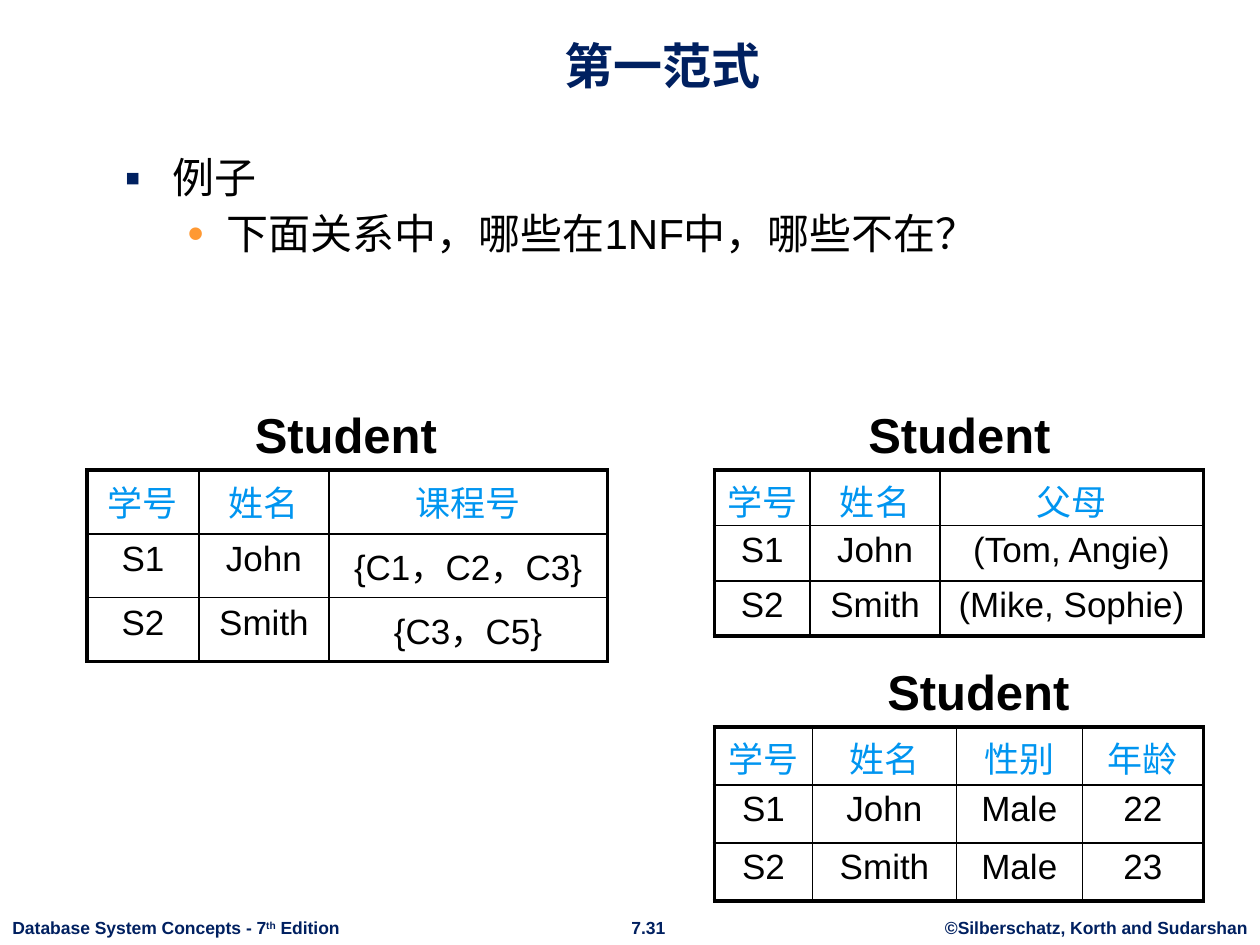
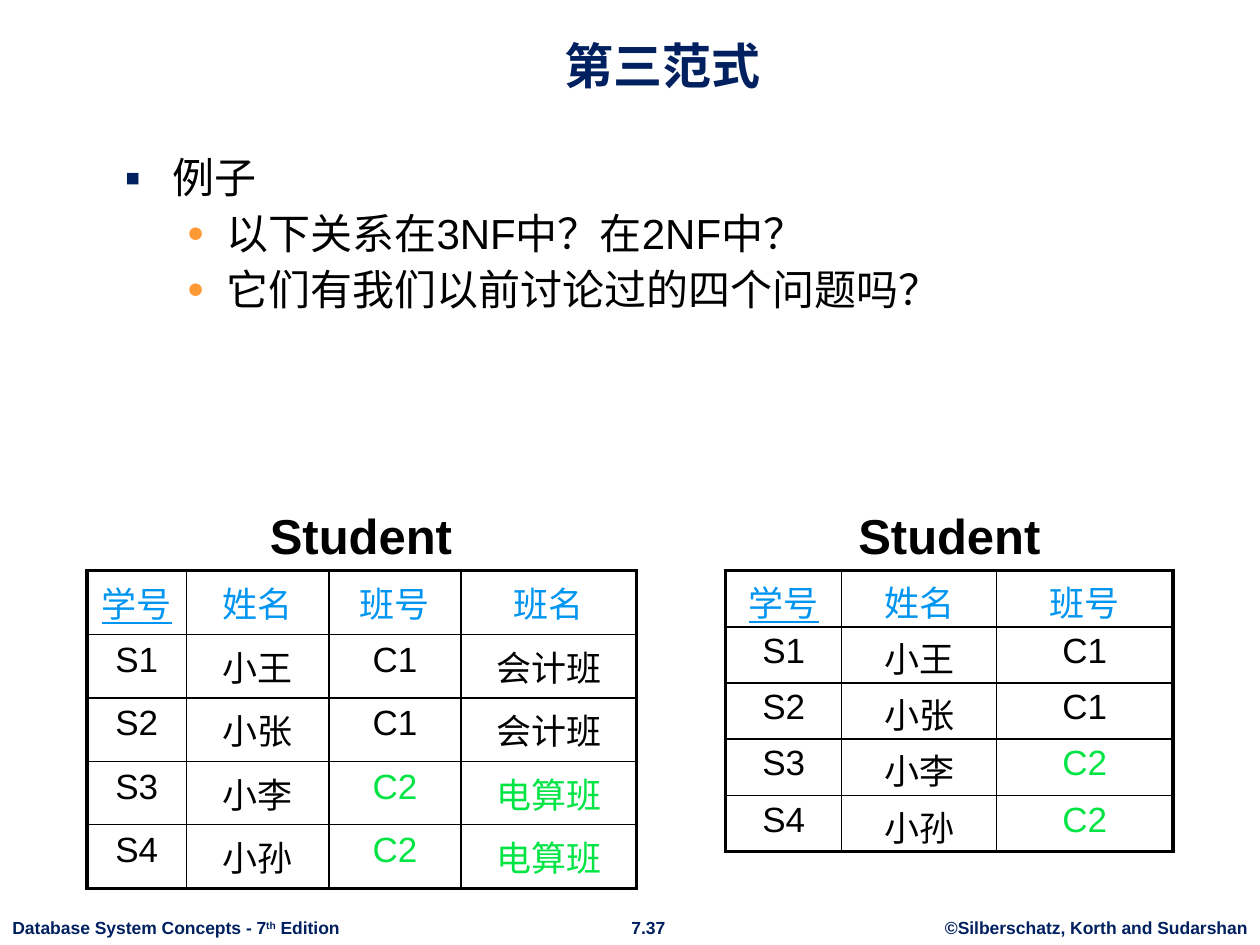
from dataclasses import dataclass

from lxml.etree import SubElement
from pptx import Presentation
from pptx.dml.color import RGBColor
from pptx.enum.text import MSO_ANCHOR, PP_ALIGN
from pptx.oxml.ns import qn
from pptx.slide import Slide
from pptx.table import _Cell
from pptx.text.text import Font, TextFrame
from pptx.util import Pt

SCALE = 9144  # EMU per px, 100 px to the inch


@dataclass(frozen=True)
class Theme:
    font: str = "Arial"
    navy: str = "002060"
    ink: str = "000000"
    paper: str = "FFFFFF"
    head: str = "0095F0"
    mark: str = "00E444"
    dot: str = "FF9933"
    title: int = 28
    body: int = 24
    cell: int = 20
    foot: int = 10
    thin: float = 1
    thick: float = 2.25


@dataclass(frozen=True)
class Level:
    sign: str
    color: str
    left: int
    hang: int


@dataclass(frozen=True)
class Grid:
    left: int
    top: int
    cols: tuple[int, ...]
    height: int
    label: int
    rows: tuple[tuple[str, ...], ...]
    pads: tuple[int, int] = (5, 5)
    keyed: bool = False


@dataclass(frozen=True)
class Page:
    title: str
    number: str
    points: tuple[str, ...]
    grids: tuple[Grid, ...]


THEME = Theme()
LEVELS = (Level("▪", THEME.navy, 38, 38), Level("•", THEME.dot, 81, 31))
TIGHT = (4, 0)
MARKED = {"C2", "电算班"}

PAGES = (
    Page("第一范式", "7.31", ("例子", "下面关系中，哪些在1NF中，哪些不在？"), (
        Grid(69, 373, (89, 103, 221), 152, 179, (
            ("学号", "姓名", "课程号"),
            ("S1", "John", "{C1，C2，C3}"),
            ("S2", "Smith", "{C3，C5}"))),
        Grid(567, 373, (76, 103, 209), 132, 666, (
            ("学号", "姓名", "父母"),
            ("S1", "John", "(Tom, Angie)"),
            ("S2", "Smith", "(Mike, Sophie)")), TIGHT),
        Grid(567, 577, (78, 114, 100, 96), 138, 681, (
            ("学号", "姓名", "性别", "年龄"),
            ("S1", "John", "Male", "22"),
            ("S2", "Smith", "Male", "23")), TIGHT),
    )),
    Page("第三范式", "7.37",
         ("例子", "以下关系在3NF中？在2NF中？", "它们有我们以前讨论过的四个问题吗？"), (
        Grid(69, 453, (79, 113, 105, 139), 252, 191, (
            ("学号", "姓名", "班号", "班名"),
            ("S1", "小王", "C1", "会计班"),
            ("S2", "小张", "C1", "会计班"),
            ("S3", "小李", "C2", "电算班"),
            ("S4", "小孙", "C2", "电算班")), keyed=True),
        Grid(576, 453, (92, 123, 140), 223, 658, (
            ("学号", "姓名", "班号"),
            ("S1", "小王", "C1"),
            ("S2", "小张", "C1"),
            ("S3", "小李", "C2"),
            ("S4", "小孙", "C2")), TIGHT, keyed=True),
    )),
)


def px(size: float) -> int:
    return round(size * SCALE)


def style(font: Font, size: int, color: str, bold: bool = False) -> None:
    font.name = THEME.font
    font.size = Pt(size)
    font.bold = bold
    font.color.rgb = RGBColor.from_string(color)


def add_box(slide: Slide, left: int, top: int, width: int, height: int,
            wrap: bool = True) -> TextFrame:
    box = slide.shapes.add_textbox(px(left), px(top), px(width), px(height))
    box.text_frame.word_wrap = wrap
    return box.text_frame


def add_line(frame: TextFrame, text: str, size: int, color: str,
             align: PP_ALIGN = PP_ALIGN.CENTER) -> None:
    """Fill a box with one bold line."""
    frame.text = text
    para = frame.paragraphs[0]
    para.alignment = align
    style(para.runs[0].font, size, color, True)


def add_foot(slide: Slide, number: str) -> None:
    size, color = THEME.foot, THEME.navy
    credit = add_box(slide, 740, 723, 260, 27, False)
    add_line(credit, "©Silberschatz, Korth and Sudarshan", size, color)
    add_line(add_box(slide, 490, 723, 49, 27, False), number, size, color)
    book = add_box(slide, 0, 723, 281, 27, False)
    add_line(book, "Database System Concepts - 7", size, color, PP_ALIGN.LEFT)
    for text, raised in (("th", True), (" Edition", False)):
        run = book.paragraphs[0].add_run()
        run.text = text
        style(run.font, size, color, True)
        if raised:
            run._r.get_or_add_rPr().set("baseline", "30000")


def add_points(slide: Slide, points: tuple[str, ...]) -> None:
    frame = add_box(slide, 89, 120, 838, 536)
    frame.text = "\n".join(points)
    for index, para in enumerate(frame.paragraphs):
        level = LEVELS[min(index, 1)]
        para.level = min(index, 1)
        para.line_spacing = 0.9
        if index:
            para.space_before = Pt(6)
        props = para._p.get_or_add_pPr()
        props.set("marL", str(px(level.left)))
        props.set("indent", str(px(-level.hang)))
        tint = SubElement(props, qn("a:buClr"))
        SubElement(tint, qn("a:srgbClr"), val=level.color)
        SubElement(props, qn("a:buSzPct"), val="110000")
        SubElement(props, qn("a:buFont"), typeface=THEME.font)
        SubElement(props, qn("a:buChar"), char=level.sign)
        for run in para.runs:
            style(run.font, THEME.body, THEME.ink)


def add_edges(cell: _Cell, outer: dict[str, bool]) -> None:
    """Draw the cell borders, thick where they are on the outside."""
    props = cell._tc.get_or_add_tcPr()
    for side, out in outer.items():
        width = Pt(THEME.thick if out else THEME.thin)
        line = SubElement(props, qn(f"a:ln{side}"), w=str(int(width)))
        fill = SubElement(line, qn("a:solidFill"))
        SubElement(fill, qn("a:srgbClr"), val=THEME.ink)


def fill_cell(cell: _Cell, text: str, grid: Grid, row: int, col: int) -> None:
    cell.margin_left = cell.margin_right = 0
    cell.margin_top, cell.margin_bottom = map(px, grid.pads)
    add_edges(cell, {"L": col == 0, "R": col == len(grid.cols) - 1,
                     "T": row == 0, "B": row == len(grid.rows) - 1})
    cell.fill.solid()
    cell.fill.fore_color.rgb = RGBColor.from_string(THEME.paper)
    cell.text_frame.text = text
    para = cell.text_frame.paragraphs[0]
    para.alignment = PP_ALIGN.CENTER
    color = THEME.mark if text in MARKED else THEME.ink
    font = para.runs[0].font
    style(font, THEME.cell, THEME.head if row == 0 else color)
    if grid.keyed and row == col == 0:
        font.underline = True


def add_grid(slide: Slide, grid: Grid) -> None:
    count = len(grid.rows)
    table = slide.shapes.add_table(
        count, len(grid.cols), px(grid.left), px(grid.top),
        px(sum(grid.cols)), px(grid.height)).table
    table.first_row = table.horz_banding = False
    for column, width in zip(table.columns, grid.cols):
        column.width = px(width)
    for row, texts in enumerate(grid.rows):
        table.rows[row].height = px(grid.height / count)
        for col, text in enumerate(texts):
            fill_cell(table.cell(row, col), text, grid, row, col)
    label = add_box(slide, grid.label, grid.top - 57, 191, 57)
    add_line(label, "Student", THEME.title, THEME.ink)


def add_page(deck: Presentation, page: Page) -> None:
    slide = deck.slides.add_slide(deck.slide_layouts[6])
    add_foot(slide, page.number)
    title = add_box(slide, 84, 13, 883, 67)
    title.vertical_anchor = MSO_ANCHOR.BOTTOM
    add_line(title, page.title, THEME.title, THEME.navy)
    add_points(slide, page.points)
    for grid in page.grids:
        add_grid(slide, grid)


def main() -> None:
    deck = Presentation()
    deck.slide_width, deck.slide_height = px(1000), px(750)
    for page in PAGES:
        add_page(deck, page)
    deck.save("out.pptx")


if __name__ == "__main__":
    main()
